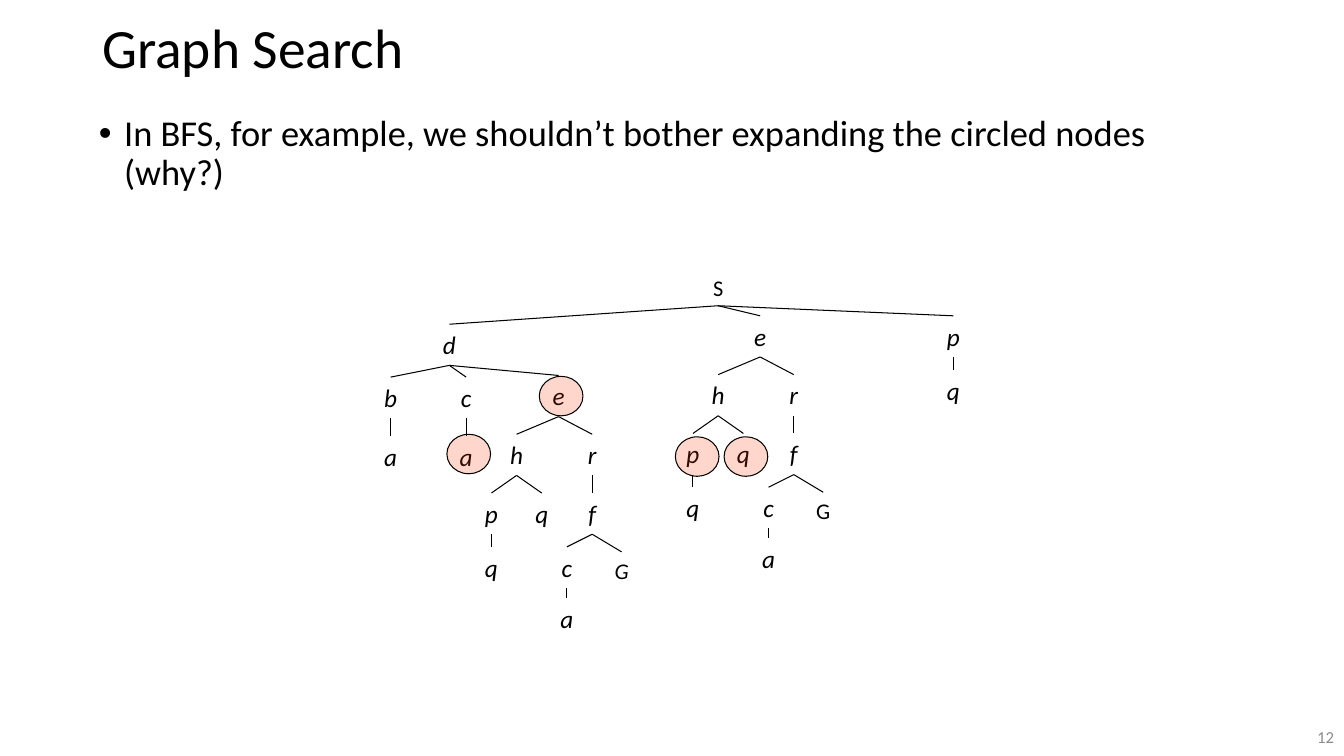
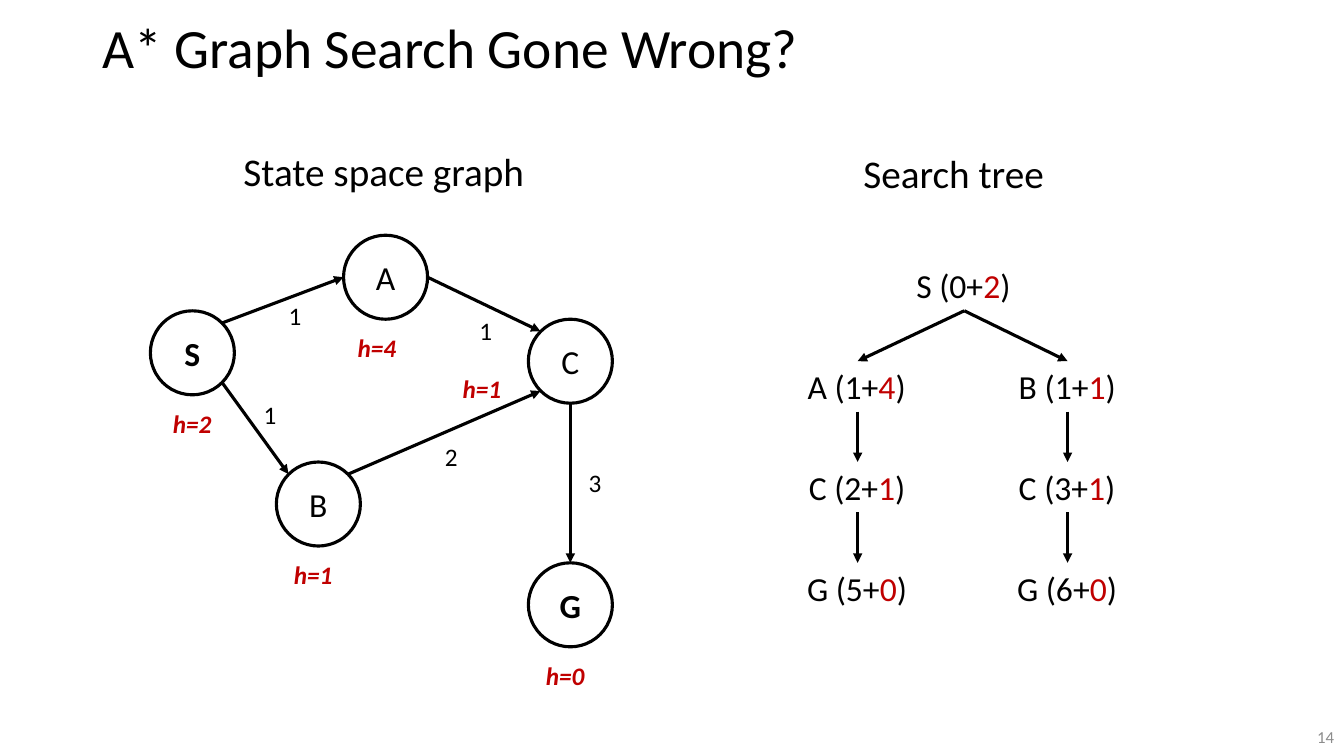
import lxml.etree
import pptx
import pptx.dml.color
import pptx.enum.shapes
import pptx.enum.text
import pptx.oxml.ns
import pptx.util

COLUMNS, ROWS = 160, 90
CELL = pptx.util.Inches(1 / 12)
INK, RED, GREY, WHITE, MARK = "000000", "C00000", "8C8C8C", "FFFFFF", "FF3300"
ALIGN = pptx.enum.text.PP_ALIGN
ANCHOR = pptx.enum.text.MSO_ANCHOR
FIT = pptx.enum.text.MSO_AUTO_SIZE.SHAPE_TO_FIT_TEXT
OVAL = pptx.enum.shapes.MSO_SHAPE.OVAL
STRAIGHT = pptx.enum.shapes.MSO_CONNECTOR.STRAIGHT

TITLE_AREA = (11, 1.6, 138, 8.8)
BODY_AREA = (10.6, 13.1, 138, 68)
NUMBER_AREA = (152.9, 85.4, 7.1, 4.6)

BFS_TITLE, BFS_NUMBER = "Graph Search", "12"
BFS_POINT = "In BFS, for example, we shouldn’t bother expanding the circled nodes (why?)"


def e_branch(dx, dy, goal_italic):
    goal = ("G", 3.5, 7, [], goal_italic)
    return ("e", dx, dy, [
        ("h", -5, 7, [("p", -3, 7, [("q", 0, 6.4, [])]), ("q", 3, 7, [])]),
        ("r", 4, 7, [("f", 0, 7, [("c", -3, 6.4, [("a", 0, 6.1, [])]), goal])]),
    ])


BFS_TREE = ("S", 85.5, 32, [
    ("d", -32, 6.6, [
        ("b", -7, 6.3, [("a", 0, 7, [])]),
        ("c", 2, 6.3, [("a", 0, 7, [])]),
        e_branch(13, 6.1, True),
    ]),
    e_branch(5, 5.6, False),
    ("p", 28, 5.6, [("q", 0, 6.5, [])]),
], False)
LABEL_SIZES = {"S": (13, 4.4), "G": (10, 4.4)}
CIRCLED = [(64.2, 44.8), (80.4, 52), (53.2, 51.7), (86.2, 52)]

ASTAR_TITLE, ASTAR_NUMBER = "A* Graph Search Gone Wrong?", "14"
HEADINGS = [("State space graph", 27.8, 17, 36.2), ("Search tree", 101.6, 17.2, 24.1)]
STATES = {"S": (22.9, 42, True), "A": (45.9, 33, False), "B": (37.9, 60, False),
          "C": (67.9, 43, False), "G": (67.9, 72, True)}
STATE_SIZE = 10
DIAGONAL = 0.71
RIM = {"top": (0, -1), "left": (-1, 0), "bottom": (0, 1), "right": (1, 0),
       "top left": (-DIAGONAL, -DIAGONAL), "top right": (DIAGONAL, -DIAGONAL),
       "bottom left": (-DIAGONAL, DIAGONAL), "bottom right": (DIAGONAL, DIAGONAL)}
STEPS = [("S", "top right", "A", "left"), ("S", "bottom right", "B", "top left"),
         ("B", "top right", "C", "bottom left"), ("A", "right", "C", "top left"),
         ("C", "bottom", "G", "top")]
COSTS = [("1", 33.2, 35.2), ("1", 30.2, 47), ("1", 55.9, 37), ("2", 51.8, 52), ("3", 68.9, 55)]
HEURISTICS = [("h=2", 19.4, 48), ("h=1", 33.8, 66), ("h=4", 41.4, 39),
              ("h=1", 53.9, 43.9), ("h=0", 63.8, 78)]
SEARCH_ROOT = ("S", 0, 2, 13.8)
SEARCH_PATHS = [(102.1, [("A", 1, 4, 14.3), ("C", 2, 1, 14), ("G", 5, 0, 14.4)]),
                (127.1, [("B", 1, 1, 14), ("C", 3, 1, 14), ("G", 6, 0, 14.4)])]
ROOT_CENTRE, SEARCH_TOP, SEARCH_STEP, SEARCH_HEIGHT = 114.8, 31, 12, 6


def colour(value):
    return pptx.dml.color.RGBColor.from_string(value)


def cells(*counts):
    return [round(count * CELL) for count in counts]


def apply(target, values):
    for name, value in values.items():
        setattr(target, name, value)


def write(shape, pieces, size, frame=None, paragraph=None, **font):
    text = shape.text_frame
    apply(text, {"word_wrap": True, **(frame or {})})
    line = text.paragraphs[0]
    apply(line, paragraph or {})
    for words, ink in pieces:
        run = line.add_run()
        run.text = words
        apply(run.font, {"name": "Calibri", "size": pptx.util.Pt(size), **font})
        run.font.color.rgb = colour(ink)
    return line


def label(slide, area, pieces, size, **options):
    box = slide.shapes.add_textbox(*cells(*area))
    write(box, pieces, size, **options)
    return box


def free_label(slide, area, pieces, size, **font):
    return label(slide, area, pieces, size, frame={"word_wrap": False, "auto_size": FIT}, **font)


def link(slide, weight, ends=(0, 0, 0, 0), parent=None, child=None, arrow=False):
    edge = slide.shapes.add_connector(STRAIGHT, *cells(*ends))
    if parent is not None:
        edge.begin_connect(parent, 2)
        edge.end_connect(child, 0)
    edge.line.width = pptx.util.Pt(weight)
    edge.line.color.rgb = colour(INK)
    properties = edge._element.spPr
    qn = pptx.oxml.ns.qn
    if arrow:
        lxml.etree.SubElement(properties.find(qn("a:ln")), qn("a:tailEnd"), type="triangle")
    lxml.etree.SubElement(properties, qn("a:effectLst"))


def circle(slide, area, fill, weight, opacity=None):
    oval = slide.shapes.add_shape(OVAL, *cells(*area))
    oval.shadow.inherit = False
    oval.fill.solid()
    oval.fill.fore_color.rgb = colour(fill)
    oval.line.color.rgb = colour(INK)
    oval.line.width = pptx.util.Pt(weight)
    if opacity:
        qn = pptx.oxml.ns.qn
        tint = oval._element.spPr.find(qn("a:solidFill")).find(qn("a:srgbClr"))
        lxml.etree.SubElement(tint, qn("a:alpha"), val=str(opacity * 1000))
    return oval


def new_slide(deck, title, number):
    slide = deck.slides.add_slide(deck.slide_layouts[6])
    middle = {"vertical_anchor": ANCHOR.MIDDLE}
    label(slide, TITLE_AREA, [(title, INK)], 39.6, frame=middle, paragraph={"line_spacing": 0.9})
    label(slide, NUMBER_AREA, [(number, GREY)], 12, frame=middle,
          paragraph={"alignment": ALIGN.RIGHT})
    return slide


def grow(slide, node, x=0, y=0, parent=None):
    name, dx, dy, children, *slant = node
    x, y = x + dx, y + dy
    width, height = LABEL_SIZES.get(name, (5, 4.9))
    box = label(slide, (x - width / 2, y, width, height), [(name, INK)],
                16 if name in LABEL_SIZES else 18, frame={"auto_size": FIT},
                paragraph={"alignment": ALIGN.CENTER}, italic=slant[0] if slant else True)
    if parent is not None:
        link(slide, 0.75, parent=parent, child=box)
    for child in children:
        grow(slide, child, x, y, box)


def bfs_slide(deck):
    slide = new_slide(deck, BFS_TITLE, BFS_NUMBER)
    body = slide.shapes.add_textbox(*cells(*BODY_AREA))
    point = write(body, [(BFS_POINT, INK)], 26,
                  paragraph={"line_spacing": 0.9, "space_before": pptx.util.Pt(10)})
    layout = point._p.get_or_add_pPr()
    indent = pptx.util.Inches(0.25)
    layout.set("marL", str(indent))
    layout.set("indent", str(-indent))
    qn = pptx.oxml.ns.qn
    lxml.etree.SubElement(layout, qn("a:buFont"), typeface="Arial")
    lxml.etree.SubElement(layout, qn("a:buChar"), char="•")
    grow(slide, BFS_TREE)
    for left, top in CIRCLED:
        circle(slide, (left, top, 5.2, 4.7), MARK, 0.75, opacity=20)


def rim_point(state, side):
    x, y, _ = STATES[state]
    dx, dy = RIM[side]
    return x + dx * STATE_SIZE / 2, y + dy * STATE_SIZE / 2


def search_node(slide, node, centre, level):
    state, cost, estimate, width = node
    area = (centre - width / 2, SEARCH_TOP + level * SEARCH_STEP, width, SEARCH_HEIGHT)
    pieces = [(f"{state} ({cost}+", INK), (str(estimate), RED), (")", INK)]
    return free_label(slide, area, pieces, 24)


def astar_slide(deck):
    slide = new_slide(deck, ASTAR_TITLE, ASTAR_NUMBER)
    for heading, left, top, width in HEADINGS:
        free_label(slide, (left, top, width, 6.8), [(heading, INK)], 28)
    for state, (x, y, bold) in STATES.items():
        area = (x - STATE_SIZE / 2, y - STATE_SIZE / 2, STATE_SIZE, STATE_SIZE)
        write(circle(slide, area, WHITE, 2.25), [(state, INK)], 24,
              frame={"vertical_anchor": ANCHOR.MIDDLE},
              paragraph={"alignment": ALIGN.CENTER}, bold=bold)
    for start, leaving, end, entering in STEPS:
        link(slide, 2.25, rim_point(start, leaving) + rim_point(end, entering), arrow=True)
    for cost, left, top in COSTS:
        free_label(slide, (left, top, 4.1, 4.8), [(cost, INK)], 18)
    for estimate, left, top in HEURISTICS:
        free_label(slide, (left, top, 7.8, 4.8), [(estimate, RED)], 18, bold=True, italic=True)
    root = search_node(slide, SEARCH_ROOT, ROOT_CENTRE, 0)
    for centre, nodes in SEARCH_PATHS:
        parent = root
        for level, node in enumerate(nodes, 1):
            child = search_node(slide, node, centre, level)
            link(slide, 2.25, parent=parent, child=child, arrow=True)
            parent = child


def main():
    deck = pptx.Presentation()
    deck.slide_width, deck.slide_height = cells(COLUMNS, ROWS)
    bfs_slide(deck)
    astar_slide(deck)
    deck.save("out.pptx")


if __name__ == "__main__":
    main()
